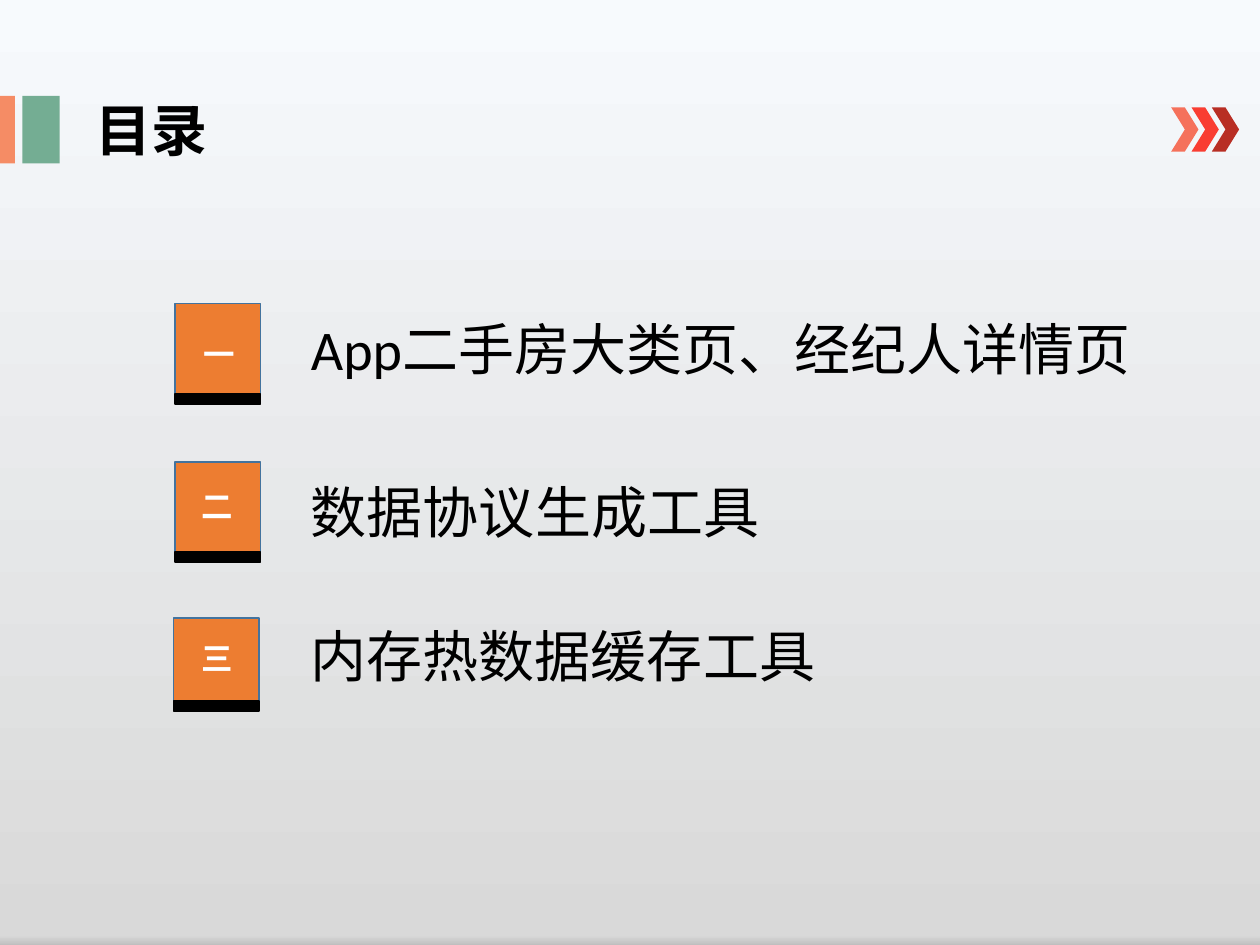
from copy import deepcopy

from lxml import etree
from pptx import Presentation
from pptx.dml.color import RGBColor
from pptx.enum import shapes, text
from pptx.oxml import ns
from pptx.util import Pt

COLORS = {
    "sky": "F7FAFD", "mist": "D9D9D9", "edge": "BFBFBF",
    "peach": "F58C65", "green": "74AD93",
    "coral": "F5715B", "red": "F93D32", "brick": "B82E24",
    "orange": "ED7D31", "blue": "43739E",
    "black": "000000", "white": "FFFFFF",
}
CJK_FONT = "Noto Sans CJK SC"
TITLE = {"name": "Calibri", "size": Pt(32), "bold": True}
ITEM = {"name": "Calibri", "size": Pt(32), "bold": False}
NUMBER = {"name": CJK_FONT, "size": Pt(18), "bold": True}


def add_block(kind, left, top, width, height, fill, line=None):
    block = page.shapes.add_shape(kind, Pt(left), Pt(top), Pt(width), Pt(height))
    block.shadow.inherit = False
    block.fill.solid()
    block.fill.fore_color.rgb = RGBColor.from_string(COLORS[fill])
    if line:
        block.line.color.rgb = RGBColor.from_string(COLORS[line])
        block.line.width = Pt(1)
    else:
        block.line.fill.background()


def add_label(words, left, top, width, height, style, color, wrap=True):
    box = page.shapes.add_textbox(Pt(left), Pt(top), Pt(width), Pt(height))
    box.text_frame.word_wrap = wrap
    box.text_frame.auto_size = text.MSO_AUTO_SIZE.SHAPE_TO_FIT_TEXT
    span = box.text_frame.paragraphs[0].add_run()
    span.text = words
    for key, value in style.items():
        setattr(span.font, key, value)
    span.font.color.rgb = RGBColor.from_string(COLORS[color])
    # East Asian characters take their own typeface
    etree.SubElement(span.font._element, ns.qn("a:ea"), typeface=CJK_FONT)


deck = Presentation()
deck.slide_width, deck.slide_height = Pt(720), Pt(540)
page = deck.slides.add_slide(deck.slide_layouts[6])

# Background: vertical gradient with a darker bottom edge
backdrop = page.background.fill
backdrop.gradient()
backdrop.gradient_angle = 270
stop_list = page.element.find(".//" + ns.qn("a:gsLst"))
stop_list.append(deepcopy(stop_list[-1]))
for stop, (position, color) in zip(
        backdrop.gradient_stops, [(0, "sky"), (0.99, "mist"), (1, "edge")]):
    stop.position = position
    stop.color.rgb = RGBColor.from_string(COLORS[color])

# Header: bars, title and chevrons
RECT = shapes.MSO_SHAPE.RECTANGLE
add_block(RECT, 0, 54.8, 8.6, 38.6, "peach")
add_block(RECT, 12.8, 54.8, 21.3, 38.6, "green")
add_label("目录", 47.5, 51.1, 247.7, 46, TITLE, "black")
for index, color in enumerate(["coral", "red", "brick"]):
    add_block(shapes.MSO_SHAPE.CHEVRON, 669.3 + 11.6 * index, 61.4, 15.6, 25.2, color)

# Contents: numbered tile with a black base, then the entry
# number, entry, tile left, tile top, base top, number box, entry box, wrap
entries = [
    ("一", "App二手房大类页、经纪人详情页", 99.8, 173.5, 225.2,
     (109.4, 187.9, 29.5, 28.8), (170.6, 176.4, 525.6, 85), True),
    ("二", "数据协议生成工具", 99.8, 264, 315.5,
     (108, 275, 32.4, 28.8), (170.6, 269.3, 272.9, 46), False),
    ("三", "内存热数据缓存工具", 99.2, 353.2, 400.5,
     (108, 361.4, 32.4, 28.8), (170.6, 351.4, 305.3, 46), False),
]
for number, entry, left, top, base_top, number_box, entry_box, wrap in entries:
    add_block(RECT, left, top, 49, 51.7, "orange", "blue")
    add_block(RECT, left, base_top, 49, 5.8, "black", "black")
    add_label(number, *number_box, NUMBER, "white", wrap)
    add_label(entry, *entry_box, ITEM, "black", wrap)

deck.save("out.pptx")
